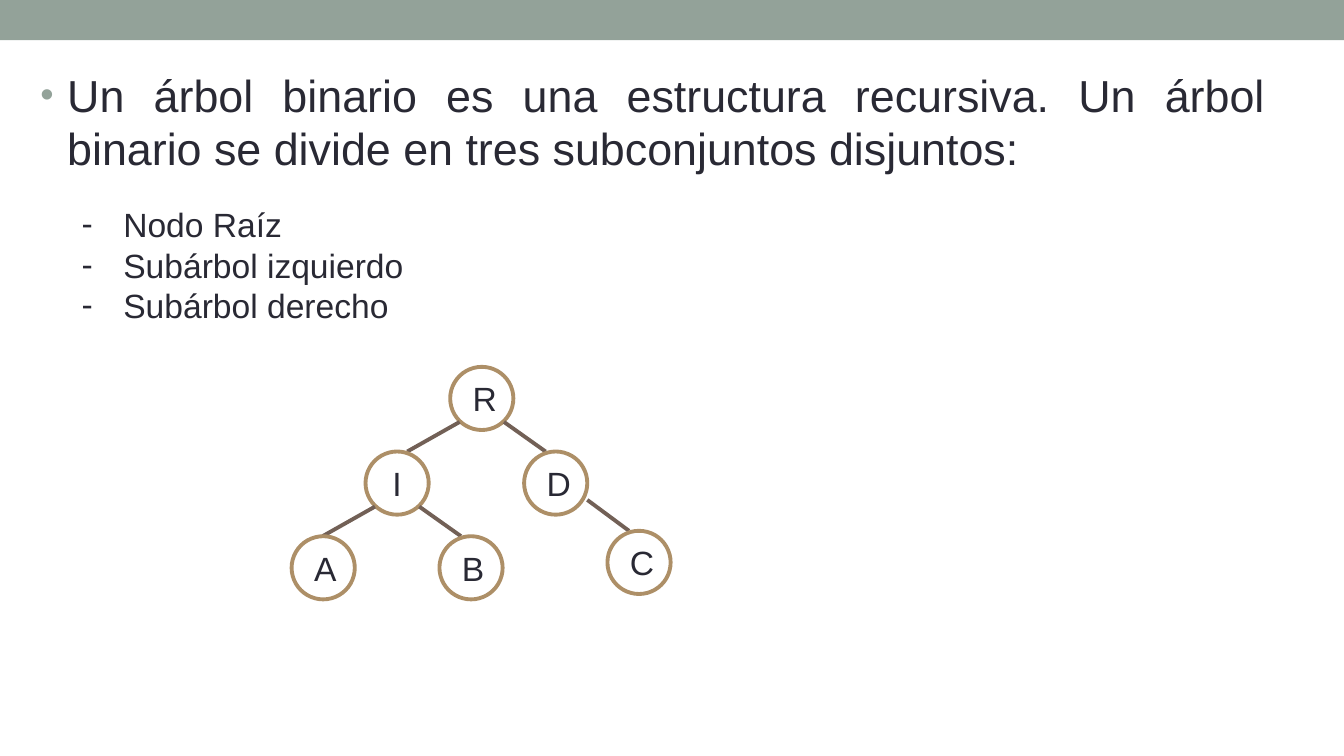
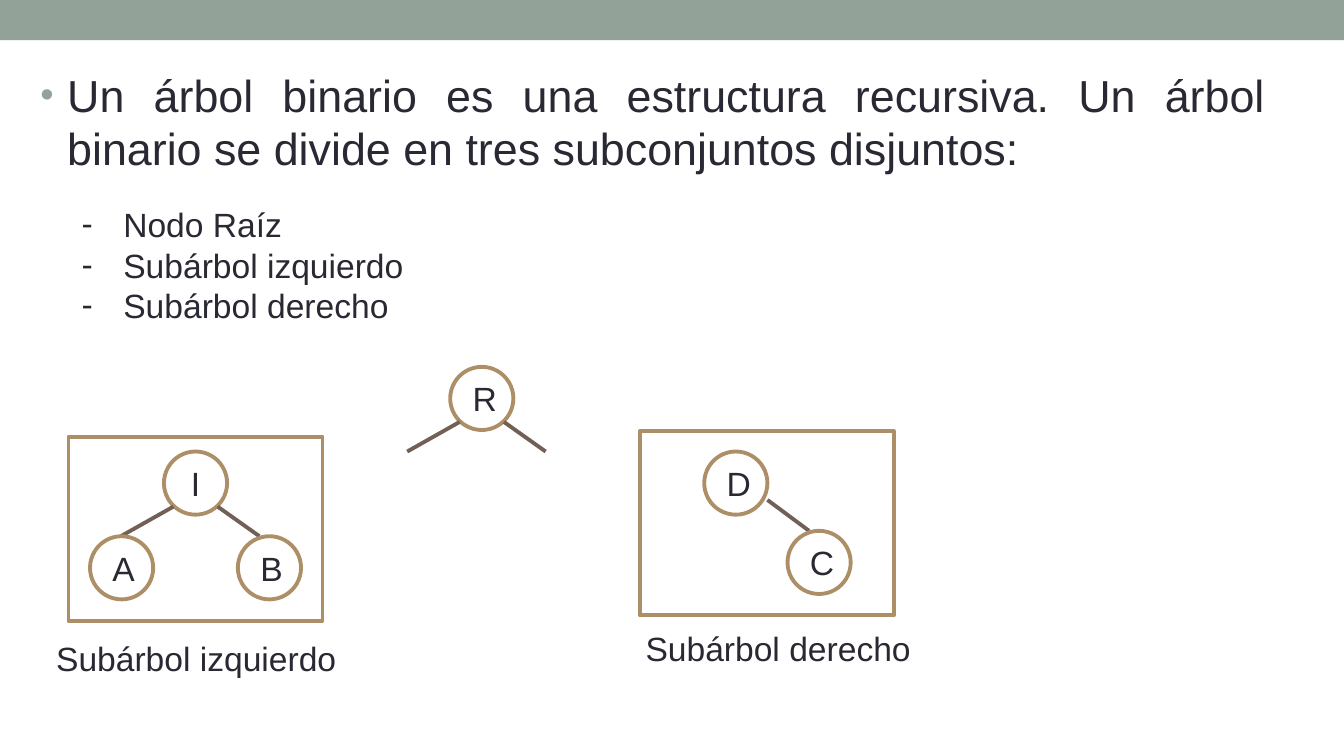
from lxml import etree
from pptx import Presentation
from pptx.dml.color import RGBColor
from pptx.enum import shapes, text
from pptx.oxml import ns
from pptx.util import Inches, Pt

BAND = RGBColor(0x93, 0xA2, 0x99)
INK = RGBColor(0x29, 0x29, 0x34)
OUTLINE = RGBColor(0xAD, 0x8F, 0x67)
BRANCH = RGBColor(0x72, 0x60, 0x56)
WHITE = RGBColor(0xFF, 0xFF, 0xFF)
FONT = "Arial"
LINE_WIDTH = Pt(2.08)
NODE_SIZE = 0.47

STATEMENT = ("Un árbol binario es una estructura recursiva. Un árbol binario "
             "se divide en tres subconjuntos disjuntos:")
PARTS = ["Nodo Raíz", "Subárbol izquierdo", "Subárbol derecho"]

# Branch ends, measured from the top left corner of the parent node
LEFT_BRANCH = (0.07, 0.41, -0.32, 0.63)
RIGHT_BRANCH = (0.4, 0.41, 0.71, 0.63)
OUTER_BRANCH = (0.47, 0.36, 0.78, 0.59)


class Deck:
    def __init__(self):
        self.presentation = Presentation()
        self.presentation.slide_width = Inches(10)
        self.presentation.slide_height = Inches(10 * 9 / 16)
        self.slide = None

    def add_slide(self):
        """Start a slide with the top band, the statement and its list."""
        self.slide = self.presentation.slides.add_slide(self.presentation.slide_layouts[1])
        title = self.slide.shapes.title.element
        title.getparent().remove(title)
        band = self.shape(shapes.MSO_SHAPE.RECTANGLE, 0, 0, 10, 0.3, BAND)
        band.line.fill.background()
        self.body(STATEMENT)
        self.dash_list(PARTS)

    def shape(self, kind, left, top, width, height, fill=WHITE):
        shape = self.slide.shapes.add_shape(
            kind, Inches(left), Inches(top), Inches(width), Inches(height))
        shape.shadow.inherit = False
        shape.fill.solid()
        shape.fill.fore_color.rgb = fill
        shape.line.color.rgb = OUTLINE
        shape.line.width = LINE_WIDTH
        return shape

    def format(self, paragraph, size=18, align=None):
        paragraph.alignment = align
        for run in paragraph.runs:
            run.font.name = FONT
            run.font.size = Pt(size)
            run.font.color.rgb = INK

    def bullet(self, paragraph, symbol, indent, color=None, percent=100):
        properties = paragraph._p.get_or_add_pPr()
        properties.set("marL", str(Inches(indent)))
        properties.set("indent", str(Inches(-indent)))
        if color is not None:
            bullet_color = etree.SubElement(properties, ns.qn("a:buClr"))
            etree.SubElement(bullet_color, ns.qn("a:srgbClr"), val=str(color))
        etree.SubElement(properties, ns.qn("a:buSzPct"), val=str(percent * 1000))
        etree.SubElement(properties, ns.qn("a:buFont"), typeface=FONT)
        etree.SubElement(properties, ns.qn("a:buChar"), char=symbol)

    def body(self, content):
        body = self.slide.placeholders[1]
        body.left, body.top = Inches(0.2), Inches(0.45)
        body.width, body.height = Inches(9.31), Inches(0.94)
        body.text_frame.text = content
        body.text_frame.auto_size = text.MSO_AUTO_SIZE.NONE
        paragraph = body.text_frame.paragraphs[0]
        self.bullet(paragraph, "•", 0.2, BAND, 85)
        paragraph.space_before = Pt(0)
        self.format(paragraph, 24, text.PP_ALIGN.JUSTIFY)

    def text_box(self, content, left, top, width, height, align=None):
        box = self.slide.shapes.add_textbox(
            Inches(left), Inches(top), Inches(width), Inches(height))
        frame = box.text_frame
        frame.word_wrap = True
        frame.auto_size = text.MSO_AUTO_SIZE.SHAPE_TO_FIT_TEXT
        frame.text = content
        for paragraph in frame.paragraphs:
            self.format(paragraph, align=align)
        return frame

    def dash_list(self, items):
        frame = self.text_box("\n".join(items), 0.51, 1.47, 3.07, 1.01)
        for paragraph in frame.paragraphs:
            self.bullet(paragraph, "-", 0.31)

    def node(self, letter, x, y):
        circle = self.shape(shapes.MSO_SHAPE.OVAL, x, y, NODE_SIZE, NODE_SIZE)
        frame = circle.text_frame
        frame.text = letter
        frame.vertical_anchor = text.MSO_ANCHOR.MIDDLE
        self.format(frame.paragraphs[0], align=text.PP_ALIGN.CENTER)

    def branch(self, x, y, ends):
        x1, y1, x2, y2 = ends
        line = self.slide.shapes.add_connector(
            shapes.MSO_CONNECTOR.STRAIGHT,
            Inches(x + x1), Inches(y + y1), Inches(x + x2), Inches(y + y2))
        line.line.color.rgb = BRANCH
        line.line.width = LINE_WIDTH
        etree.SubElement(line._element.spPr, ns.qn("a:effectLst"))

    def root(self, x, y):
        self.node("R", x, y)
        self.branch(x, y, LEFT_BRANCH)
        self.branch(x, y, RIGHT_BRANCH)

    def left_subtree(self, x, y):
        self.node("I", x, y)
        self.branch(x, y, LEFT_BRANCH)
        self.branch(x, y, RIGHT_BRANCH)
        self.node("A", x - 0.55, y + 0.63)
        self.node("B", x + 0.55, y + 0.63)

    def right_subtree(self, x, y):
        self.node("D", x, y)
        self.branch(x, y, OUTER_BRANCH)
        self.node("C", x + 0.62, y + 0.59)

    def frame(self, left, top):
        self.shape(shapes.MSO_SHAPE.RECTANGLE, left, top, 1.89, 1.37)

    def caption(self, content, left, top):
        self.text_box(content, left, top, 2.52, 0.4, text.PP_ALIGN.CENTER)


def main():
    deck = Deck()

    # Whole tree
    deck.add_slide()
    deck.root(3.35, 2.73)
    deck.left_subtree(2.72, 3.36)
    deck.right_subtree(3.9, 3.36)

    # Tree split into root and framed subtrees
    deck.add_slide()
    deck.root(3.35, 2.73)
    deck.frame(0.51, 3.25)
    deck.frame(4.76, 3.21)
    deck.left_subtree(1.22, 3.36)
    deck.right_subtree(5.24, 3.36)
    deck.caption(PARTS[1], 0.2, 4.7)
    deck.caption(PARTS[2], 4.53, 4.62)

    deck.presentation.save("out.pptx")


if __name__ == "__main__":
    main()
